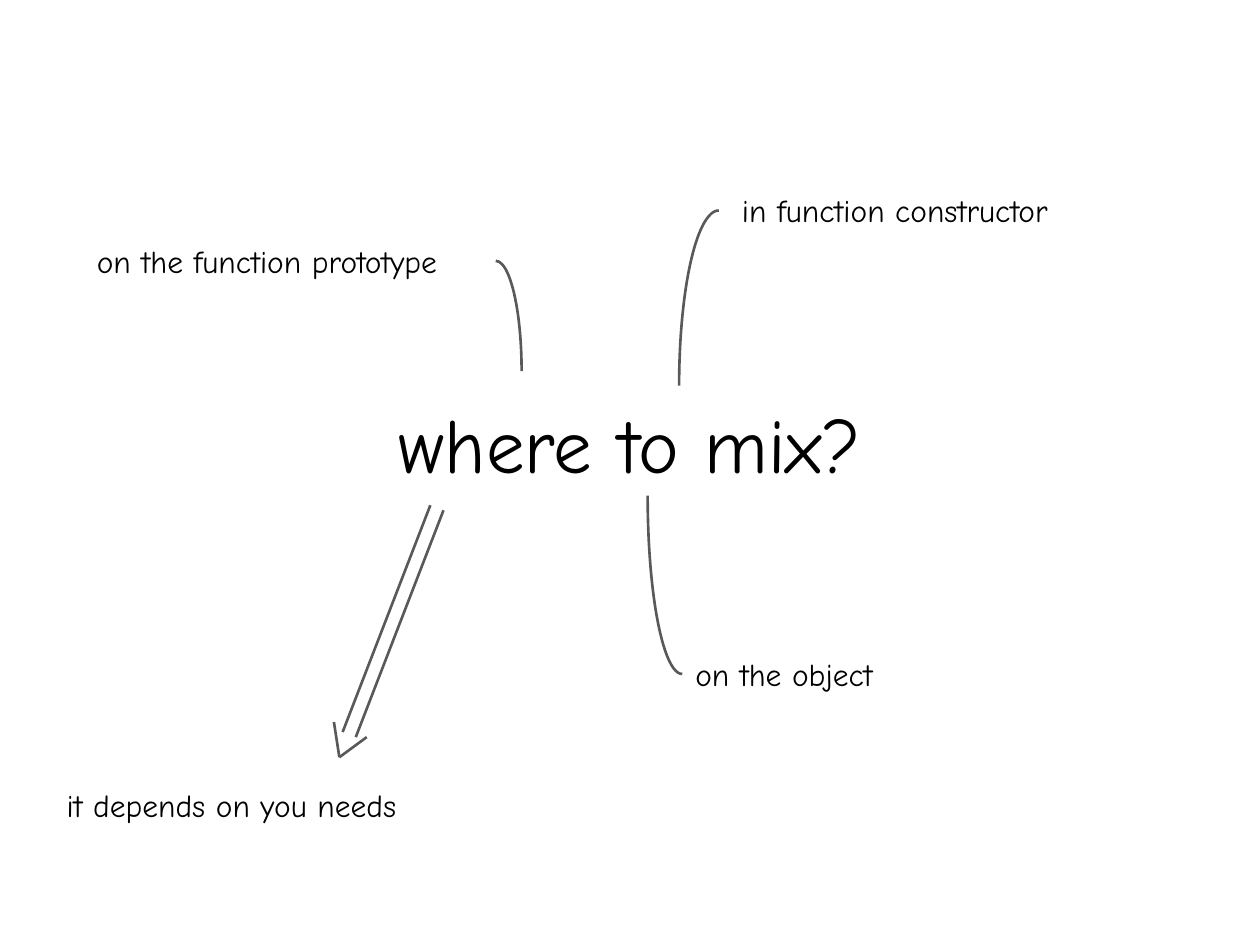
from collections import namedtuple

from lxml.etree import SubElement
from pptx import Presentation
from pptx.dml.color import RGBColor
from pptx.enum.shapes import MSO_CONNECTOR, MSO_SHAPE
from pptx.enum.text import MSO_ANCHOR, MSO_AUTO_SIZE, PP_ALIGN
from pptx.oxml.ns import qn
from pptx.util import Inches, Pt

BLACK = RGBColor(0x00, 0x00, 0x00)
GRAY = RGBColor(0x59, 0x59, 0x59)
FONT = "Comic Neue"
GRID = Inches(0.1)

Box = namedtuple("Box", "column row columns rows")

TITLE_BOX = Box(7.5, 27.1, 85, 16.1)
ARROW_BOX = Box(26.5, 40.1, 8.7, 20)
LABELS = [
    ("on the object", Box(54.2, 51.5, 17.3, 4)),
    ("on the function prototype", Box(6.7, 18.7, 31.2, 4)),
    ("in function constructor", Box(57.9, 14.7, 28.4, 4)),
    ("it depends on you needs", Box(4.3, 61.9, 30.6, 4)),
]
BRANCHES = [
    (Box(37.3, 20.7, 4.1, 17.5), False, False),
    (Box(53.9, 16.7, 6.3, 27.8), True, False),
    (Box(51.4, 25.2, 5.5, 28.3), True, True),
]
ARROW_STROKES = [
    ((0.88, 0), (0.08, 0.9)),
    ((1, 0.02), (0.2, 0.92)),
    ((0, 0.86), (0.05, 1)),
    ((0.3, 0.92), (0.05, 1)),
]


def on_grid(box):
    return [round(value * GRID) for value in box]


def add_text(slide, box, text, size):
    shape = slide.shapes.add_textbox(*on_grid(box))
    text_frame = shape.text_frame
    text_frame.text = text
    font = text_frame.paragraphs[0].runs[0].font
    font.name = FONT
    font.size = Pt(size)
    font.color.rgb = BLACK
    return text_frame


def add_title(slide, box):
    text_frame = add_text(slide, box, "where to mix?", 44)
    text_frame.word_wrap = True
    text_frame.vertical_anchor = MSO_ANCHOR.MIDDLE
    text_frame.paragraphs[0].alignment = PP_ALIGN.CENTER


def add_label(slide, box, text):
    text_frame = add_text(slide, box, text, 18)
    text_frame.word_wrap = False
    text_frame.auto_size = MSO_AUTO_SIZE.SHAPE_TO_FIT_TEXT


def style_line(line):
    line.color.rgb = GRAY
    line.width = Pt(1.5)


def add_branch(slide, box, flip_horizontal, flip_vertical):
    shape = slide.shapes.add_shape(MSO_SHAPE.ARC, *on_grid(box))
    shape.shadow.inherit = False
    shape.fill.background()
    style_line(shape.line)
    transform = shape._element.spPr.xfrm
    transform.set("flipH", str(int(flip_horizontal)))
    transform.set("flipV", str(int(flip_vertical)))


def add_arrow(slide, box):
    left, top, width, height = on_grid(box)
    group = slide.shapes.add_group_shape()
    for stroke in ARROW_STROKES:
        ends = [
            round(length)
            for x, y in stroke
            for length in (left + x * width, top + y * height)
        ]
        connector = group.shapes.add_connector(MSO_CONNECTOR.STRAIGHT, *ends)
        style_line(connector.line)
        SubElement(connector._element.spPr, qn("a:effectLst"))


def main():
    presentation = Presentation()
    presentation.slide_width = Inches(10)
    presentation.slide_height = Inches(7.5)
    slide = presentation.slides.add_slide(presentation.slide_layouts[6])
    add_title(slide, TITLE_BOX)
    for text, box in LABELS:
        add_label(slide, box, text)
    for branch in BRANCHES:
        add_branch(slide, *branch)
    add_arrow(slide, ARROW_BOX)
    presentation.save("out.pptx")


if __name__ == "__main__":
    main()
